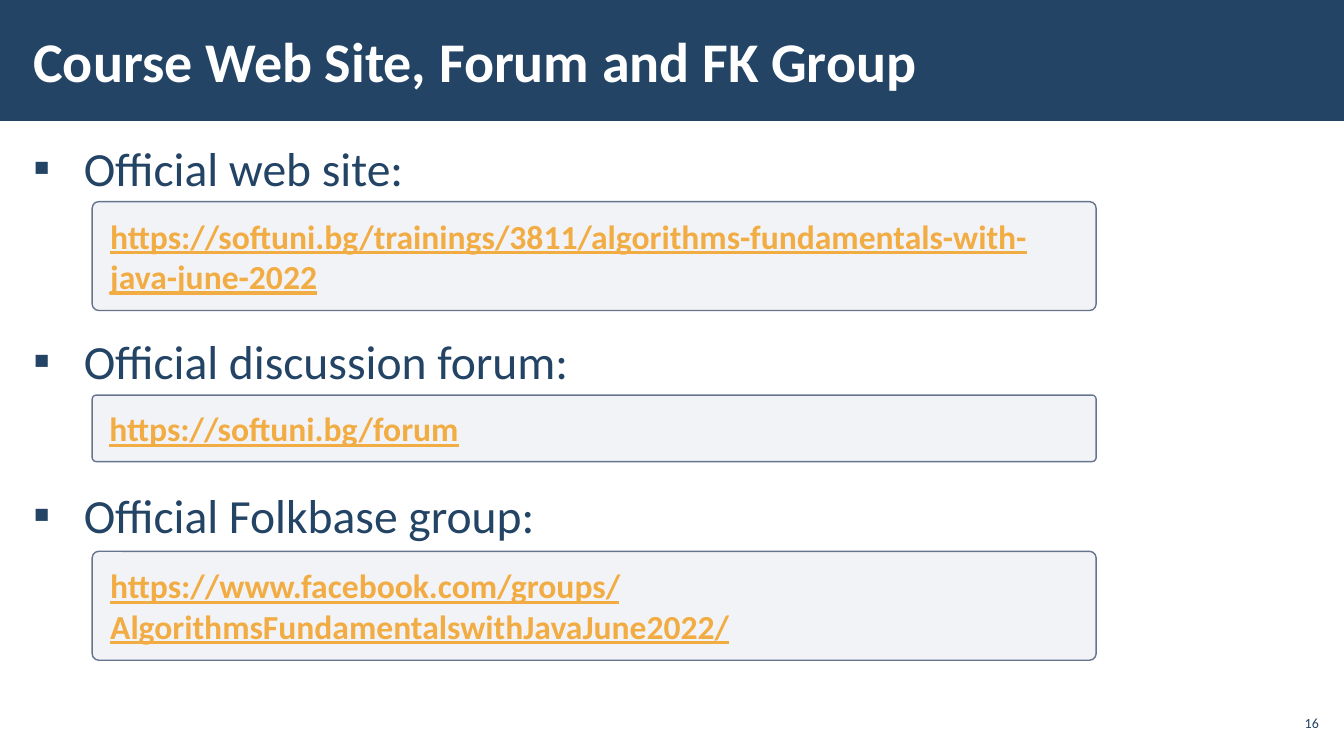
"""Builds the slide that lists the course web site, forum and group."""
from lxml import etree
from pptx import Presentation
from pptx import util as u
from pptx.dml.color import RGBColor
from pptx.enum import shapes, text
from pptx.oxml.ns import qn

WIDTH, HEIGHT = u.Inches(13.33), u.Inches(7.5)
FONT = "Calibri"
NAVY = RGBColor(0x23, 0x44, 0x65)
WHITE = RGBColor(0xFF, 0xFF, 0xFF)
PANEL = RGBColor(0xAD, 0xB4, 0xC3)
BORDER = RGBColor(0x67, 0x74, 0x8E)
ORANGE = RGBColor(0xF2, 0xAC, 0x44)

TITLE = "Course Web Site, Forum and FK Group"
TOPICS = [
    ("Official web site:", 0),
    ("Official discussion forum:", 95),
    ("Official Folkbase group:", 67),
]
LINKS = [
    ("https://softuni.bg/trainings/3811/algorithms-fundamentals-with-java-june-2022", 26.67, 14.4),
    ("https://softuni.bg/forum", 52.27, 8.8),
    ("https://www.facebook.com/groups/AlgorithmsFundamentalswithJavaJune2022/", 72.93, 14.4),
]


def share(left, top, width, height):
    """Turn percentages of the slide into lengths."""
    return (int(WIDTH * left / 100), int(HEIGHT * top / 100),
            int(WIDTH * width / 100), int(HEIGHT * height / 100))


def place(sp, area):
    """Move a placeholder to an area."""
    sp.left, sp.top, sp.width, sp.height = area


def set_frame(tf, side, edge, anchor=text.MSO_ANCHOR.TOP):
    """Set wrapping, insets and anchor of a text frame."""
    tf.word_wrap = True
    tf.auto_size = text.MSO_AUTO_SIZE.NONE
    tf.margin_left = tf.margin_right = u.Inches(side)
    tf.margin_top = tf.margin_bottom = u.Inches(edge)
    tf.vertical_anchor = anchor


def style(p, size, color, bold=False, underline=False, align=text.PP_ALIGN.LEFT):
    """Format a paragraph and its runs."""
    p.alignment = align
    for r in p.runs:
        r.font.name = FONT
        r.font.size = u.Pt(size)
        r.font.color.rgb = color
        r.font.bold = bold
        r.font.underline = underline


def add_bullet(p, indent):
    """Give a paragraph a square bullet with a hanging indent."""
    pPr = p._p.get_or_add_pPr()
    pPr.set("marL", str(u.Inches(indent)))
    pPr.set("indent", str(-u.Inches(indent)))
    etree.SubElement(pPr, qn("a:buFont")).set("typeface", FONT)
    etree.SubElement(pPr, qn("a:buChar")).set("char", "▪")


def add_band(s):
    """Draw the title band behind the placeholders."""
    sp = s.shapes.add_shape(shapes.MSO_SHAPE.RECTANGLE, *share(0, 0, 100, 16))
    sp.shadow.inherit = False
    sp.fill.solid()
    sp.fill.fore_color.rgb = NAVY
    sp.line.fill.background()
    s.shapes._spTree.insert(2, sp._element)


def add_title(s):
    """Fill the title placeholder."""
    sp = s.shapes.title
    place(sp, share(1.58, 1.47, 77.94, 12.93))
    tf = sp.text_frame
    set_frame(tf, 0.12, 0.04, text.MSO_ANCHOR.MIDDLE)
    tf.text = TITLE
    style(tf.paragraphs[0], 40, WHITE, bold=True)


def add_topics(s):
    """Fill the body placeholder with the bulleted topics."""
    sp = s.placeholders[1]
    place(sp, share(1.58, 17.47, 96.92, 75.87))
    tf = sp.text_frame
    set_frame(tf, 0.12, 0.04)
    tf.text = "\n".join(topic for topic, _ in TOPICS)
    for p, (_, gap) in zip(tf.paragraphs, TOPICS):
        add_bullet(p, 0.5)
        p.line_spacing = 1.05
        p.space_before = u.Pt(gap)
        p.space_after = u.Pt(0)
        style(p, 34, NAVY)


def add_link(s, address, top, height):
    """Draw a rounded panel that holds a web address."""
    sp = s.shapes.add_shape(shapes.MSO_SHAPE.ROUNDED_RECTANGLE,
                            *share(6.86, top, 74.7, height))
    sp.adjustments[0] = 0.06
    sp.shadow.inherit = False
    sp.fill.solid()
    sp.fill.fore_color.rgb = PANEL
    color = sp._element.spPr.find(qn("a:solidFill"))[0]
    etree.SubElement(color, qn("a:alpha")).set("val", "15000")
    sp.line.color.rgb = BORDER
    sp.line.width = u.Pt(1)
    tf = sp.text_frame
    set_frame(tf, 0.16, 0.12)
    tf.auto_size = text.MSO_AUTO_SIZE.SHAPE_TO_FIT_TEXT
    tf.text = address
    style(tf.paragraphs[0], 24, ORANGE, bold=True, underline=True)


def add_number(s, number):
    """Write the slide number in the lower right corner."""
    sp = s.shapes.add_textbox(*share(94.9, 93.33, 3.53, 4.53))
    tf = sp.text_frame
    set_frame(tf, 0.04, 0.04, text.MSO_ANCHOR.MIDDLE)
    tf.text = str(number)
    style(tf.paragraphs[0], 10, NAVY, align=text.PP_ALIGN.RIGHT)


def main():
    """Build and save the slide."""
    prs = Presentation()
    prs.slide_width, prs.slide_height = WIDTH, HEIGHT
    s = prs.slides.add_slide(prs.slide_layouts[1])
    add_band(s)
    add_title(s)
    add_topics(s)
    for address, top, height in LINKS:
        add_link(s, address, top, height)
    add_number(s, 16)
    prs.save("out.pptx")


if __name__ == "__main__":
    main()
